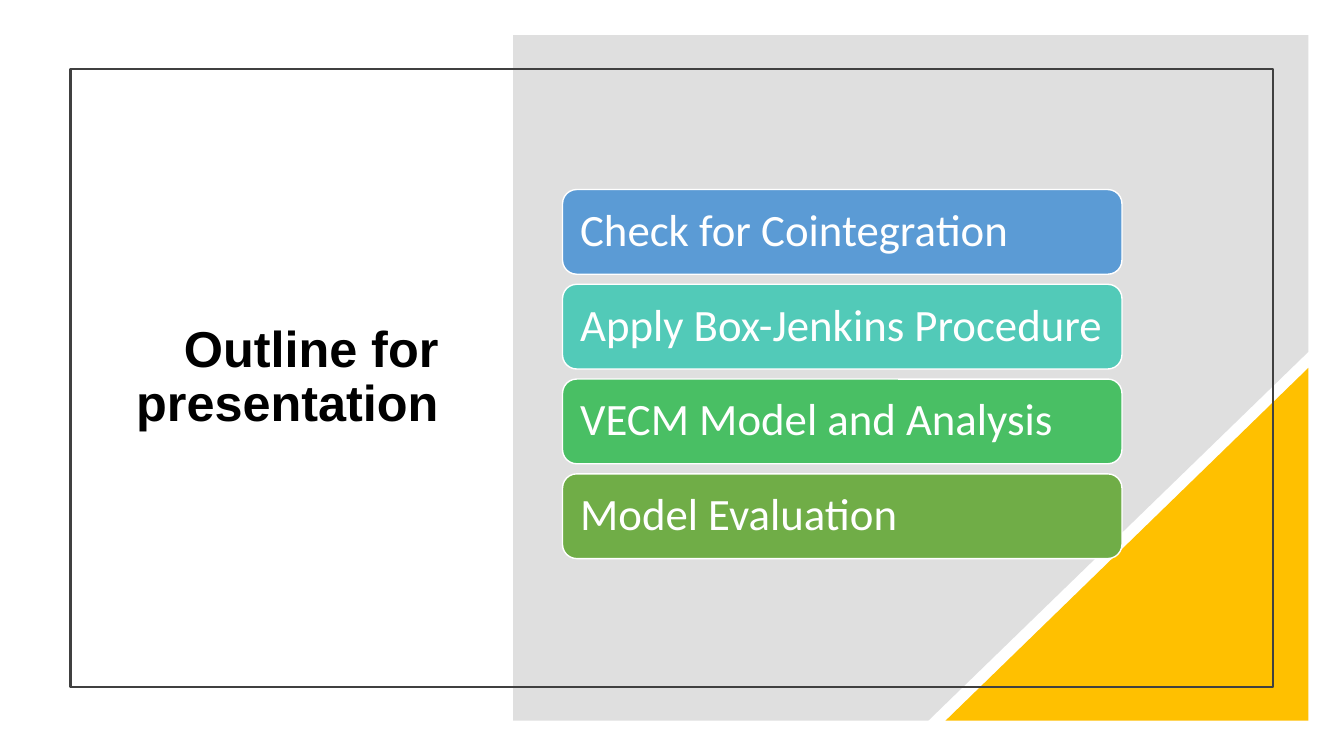
from dataclasses import dataclass

from lxml.etree import SubElement
from pptx import Presentation
from pptx.dml.color import RGBColor
from pptx.enum.shapes import MSO_SHAPE
from pptx.enum.text import MSO_ANCHOR, PP_ALIGN
from pptx.oxml.ns import qn
from pptx.shapes.autoshape import Shape
from pptx.slide import Slide
from pptx.util import Pt


@dataclass(frozen=True)
class Box:
    left: float
    top: float
    width: float
    height: float


@dataclass(frozen=True)
class Step:
    label: str
    color: str


STEPS = [
    Step("Check for Cointegration", "5B9BD5"),
    Step("Apply Box-Jenkins Procedure", "52CAB8"),
    Step("VECM Model and Analysis", "49BF64"),
    Step("Model Evaluation", "70AD47"),
]
FIRST_STEP = Box(401.8, 135.4, 399.6, 60.5)
STEP_PITCH = 67.7
PANEL_CORNERS = [(366.5, 25.2), (934.6, 25.2), (934.6, 251.3), (663.1, 514.8), (366.5, 514.8)]


def color(value: str) -> RGBColor:
    return RGBColor.from_string(value)


def paint(shape: Shape, fill: str | None, line: str | None = None, line_width: float = 1) -> None:
    shape.shadow.inherit = False
    if fill:
        shape.fill.solid()
        shape.fill.fore_color.rgb = color(fill)
    else:
        shape.fill.background()
    if line:
        shape.line.color.rgb = color(line)
        shape.line.width = Pt(line_width)
    else:
        shape.line.fill.background()


def add_box(slide: Slide, kind: MSO_SHAPE, box: Box) -> Shape:
    return slide.shapes.add_shape(kind, Pt(box.left), Pt(box.top), Pt(box.width), Pt(box.height))


def write(shape: Shape, text: str, font_name: str, size: float, text_color: str,
          alignment: PP_ALIGN, bold: bool = False) -> None:
    text_frame = shape.text_frame
    text_frame.text = text
    text_frame.word_wrap = True
    text_frame.vertical_anchor = MSO_ANCHOR.MIDDLE
    paragraph = text_frame.paragraphs[0]
    paragraph.alignment = alignment
    paragraph.line_spacing = 0.9
    font = paragraph.runs[0].font
    font.name = font_name
    font.size = Pt(size)
    font.bold = bold
    font.color.rgb = color(text_color)


def add_title(slide: Slide) -> None:
    title = slide.shapes.add_textbox(Pt(79.2), Pt(93.6), Pt(241.2), Pt(352.8))
    write(title, "Outline for presentation", "Arial", 36, "000000", PP_ALIGN.RIGHT, bold=True)


def add_panel(slide: Slide) -> None:
    corners = [(Pt(x), Pt(y)) for x, y in PANEL_CORNERS]
    builder = slide.shapes.build_freeform(*corners[0])
    builder.add_line_segments(corners[1:], close=True)
    panel = builder.convert_to_shape()
    paint(panel, "808080")
    fill_color = panel.fill._xPr.find(qn("a:solidFill"))[0]
    SubElement(fill_color, qn("a:alpha")).set("val", "25000")


def add_corner(slide: Slide) -> None:
    corner = add_box(slide, MSO_SHAPE.RIGHT_TRIANGLE, Box(675.4, 262.8, 259.2, 252))
    paint(corner, "FFC000")
    corner._element.spPr.get_or_add_xfrm().set("flipH", "1")


def add_frame(slide: Slide) -> None:
    frame = add_box(slide, MSO_SHAPE.RECTANGLE, Box(50.4, 49.2, 859, 441.4))
    paint(frame, None, "404040", 1.5)


def add_step(slide: Slide, step: Step, index: int) -> None:
    box = Box(FIRST_STEP.left, FIRST_STEP.top + index * STEP_PITCH, FIRST_STEP.width, FIRST_STEP.height)
    tile = add_box(slide, MSO_SHAPE.ROUNDED_RECTANGLE, box)
    paint(tile, step.color, "FFFFFF")
    write(tile, step.label, "Calibri", 32, "FFFFFF", PP_ALIGN.LEFT)
    tile.text_frame.margin_left = tile.text_frame.margin_right = Pt(9.6)


def main() -> None:
    presentation = Presentation()
    presentation.slide_width = Pt(960)
    presentation.slide_height = Pt(540)
    slide = presentation.slides.add_slide(presentation.slide_layouts[6])
    add_title(slide)
    add_panel(slide)
    add_corner(slide)
    add_frame(slide)
    for index, step in enumerate(STEPS):
        add_step(slide, step, index)
    presentation.save("out.pptx")


if __name__ == "__main__":
    main()
